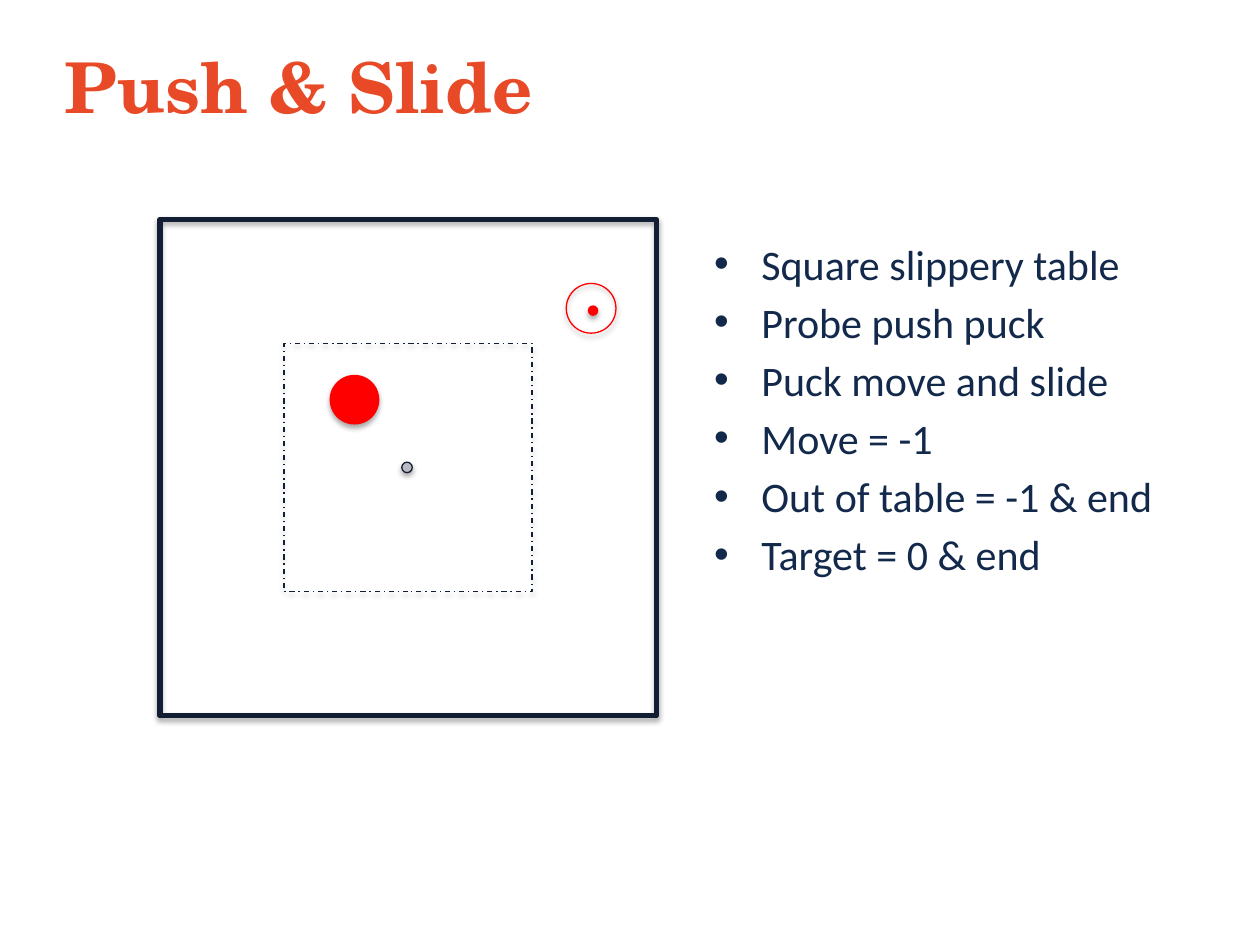
from dataclasses import dataclass

from lxml import etree
from pptx import Presentation
from pptx.dml.color import RGBColor
from pptx.enum import dml, shapes
from pptx.oxml import ns
from pptx.util import Pt


@dataclass(frozen=True)
class Theme:
    heading: str = "E84A27"
    body: str = "13294B"
    edge: str = "121E33"
    puck: str = "FF0000"
    probe: str = "BBBCC1"
    shadow: str = "000000"
    heading_font: str = "TeX Gyre Schola"
    body_font: str = "Calibri"
    heading_size: int = 40
    body_size: int = 24


THEME = Theme()
RULES = [
    "Square slippery table",
    "Probe push puck",
    "Puck move and slide",
    "Move = -1",
    "Out of table = -1 & end",
    "Target = 0 & end",
]
TABLE_CENTER = (233.2, 267.2)
TABLE_SIDE = 283.6
PUCK_SIZE = 28.4
DOT_SIZE = 6


def add_bullet(paragraph, indent):
    properties = paragraph._p.get_or_add_pPr()
    properties.set("marL", str(Pt(indent)))
    properties.set("indent", str(Pt(-indent)))
    font = etree.SubElement(properties, ns.qn("a:buFont"))
    font.set("typeface", "Arial")
    bullet = etree.SubElement(properties, ns.qn("a:buChar"))
    bullet.set("char", "•")


def add_text(slide, lines, box, *, font, size, color, bold=False, indent=0, gap=0):
    frame = slide.shapes.add_textbox(*map(Pt, box)).text_frame
    frame.word_wrap = True
    frame.text = "\n".join(lines)
    for paragraph in frame.paragraphs:
        paragraph.space_before = Pt(gap)
        paragraph.font.name = font
        paragraph.font.size = Pt(size)
        paragraph.font.bold = bold
        paragraph.font.color.rgb = RGBColor.from_string(color)
        if indent:
            add_bullet(paragraph, indent)


def add_soft_shadow(part):
    part.shadow.inherit = False
    effects = part._element.spPr.find(ns.qn("a:effectLst"))
    shadow = etree.SubElement(effects, ns.qn("a:outerShdw"))
    shadow.set("blurRad", str(Pt(3.1)))
    shadow.set("dist", str(Pt(1.8)))
    shadow.set("dir", "5400000")
    shadow.set("rotWithShape", "0")
    color = etree.SubElement(shadow, ns.qn("a:srgbClr"), val=THEME.shadow)
    etree.SubElement(color, ns.qn("a:alpha"), val="35000")


def add_centered(scene, preset, center, side, *, fill=None, line=None, width=0.75, dash=None):
    x, y = center
    part = scene.add_shape(preset, Pt(x - side / 2), Pt(y - side / 2), Pt(side), Pt(side))
    add_soft_shadow(part)
    if fill:
        part.fill.solid()
        part.fill.fore_color.rgb = RGBColor.from_string(fill)
    else:
        part.fill.background()
    if line:
        part.line.color.rgb = RGBColor.from_string(line)
        part.line.width = Pt(width)
        part.line.dash_style = dash
    else:
        part.line.fill.background()


def add_playfield(slide):
    scene = slide.shapes.add_group_shape().shapes
    square, circle = shapes.MSO_SHAPE.RECTANGLE, shapes.MSO_SHAPE.OVAL
    add_centered(scene, square, TABLE_CENTER, TABLE_SIDE, line=THEME.edge, width=3)
    add_centered(scene, square, TABLE_CENTER, TABLE_SIDE / 2, line=THEME.edge,
                 dash=dml.MSO_LINE.DASH_DOT)
    add_centered(scene, circle, (202.6, 228.4), PUCK_SIZE, fill=THEME.puck)
    add_centered(scene, circle, (232.6, 267.1), DOT_SIZE, fill=THEME.probe, line=THEME.edge)
    add_centered(scene, circle, (337.8, 176.2), PUCK_SIZE, line=THEME.puck)
    add_centered(scene, circle, (338.9, 177.5), DOT_SIZE, fill=THEME.puck)


def main():
    deck = Presentation()
    deck.slide_width, deck.slide_height = Pt(720), Pt(540)
    slide = deck.slides.add_slide(deck.slide_layouts[6])
    add_text(slide, ["Push & Slide"], (30, 21.6, 690, 111.6), font=THEME.heading_font,
             size=THEME.heading_size, color=THEME.heading, bold=True)
    add_playfield(slide)
    add_text(slide, RULES, (401, 132.5, 315.4, 299.5), font=THEME.body_font,
             size=THEME.body_size, color=THEME.body, indent=27, gap=4.4)
    deck.save("out.pptx")


if __name__ == "__main__":
    main()
